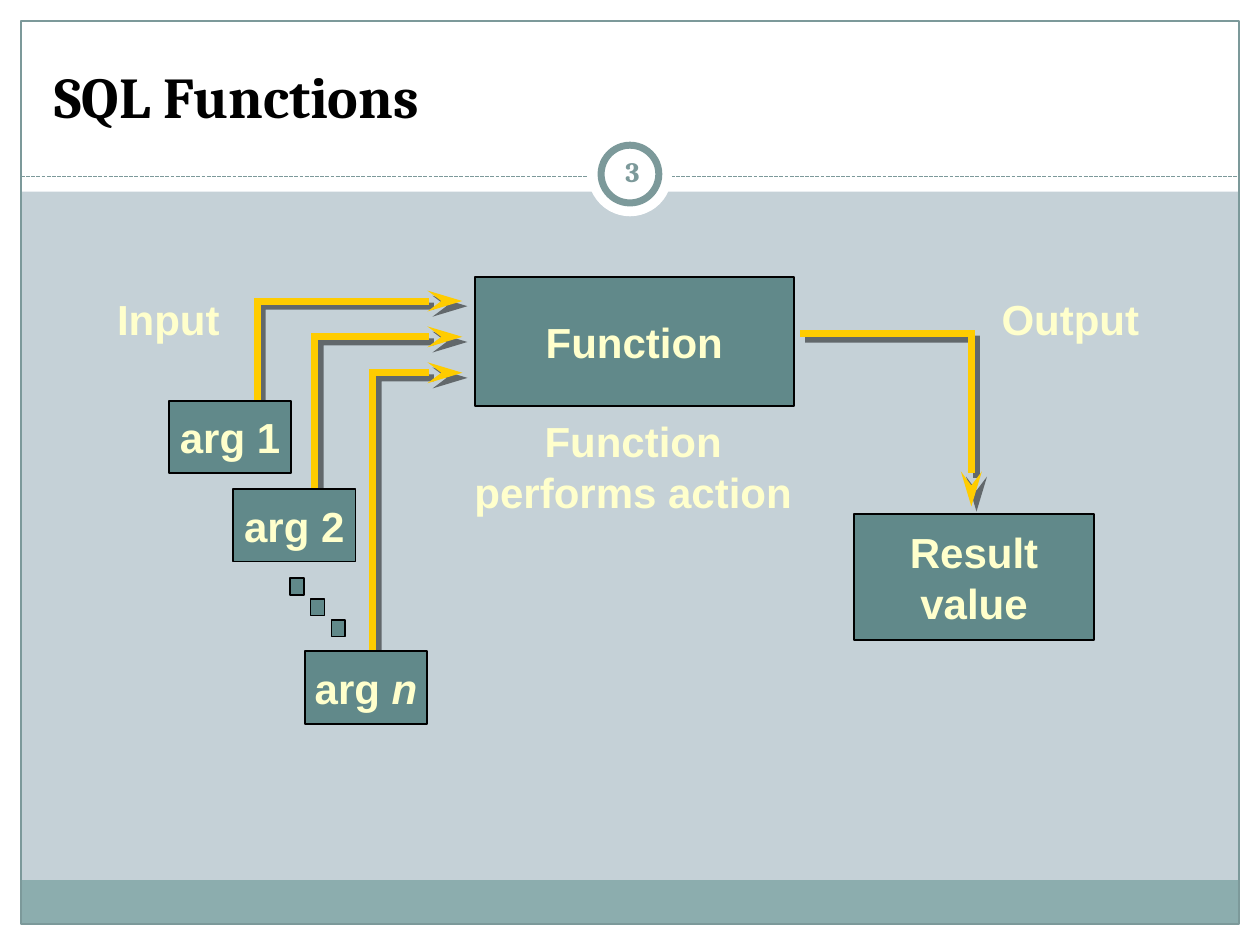
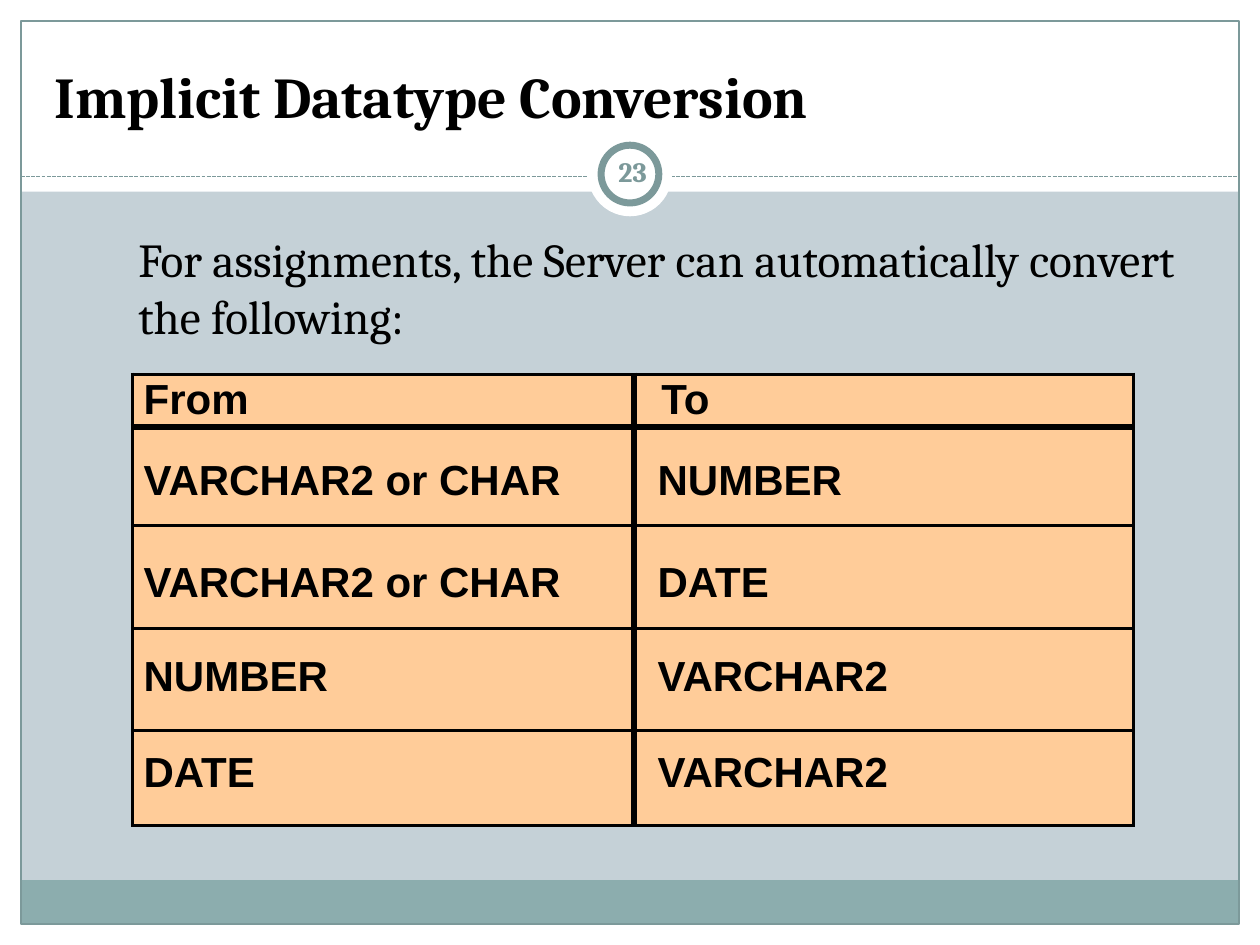
from typing import NamedTuple

from lxml import etree
from pptx import Presentation
from pptx.dml.color import RGBColor
from pptx.enum.dml import MSO_LINE
from pptx.enum.shapes import MSO_CONNECTOR, MSO_SHAPE, PP_PLACEHOLDER
from pptx.enum.text import MSO_ANCHOR, MSO_AUTO_SIZE, PP_ALIGN
from pptx.oxml.ns import qn
from pptx.util import Pt

RECT, OVAL = MSO_SHAPE.RECTANGLE, MSO_SHAPE.OVAL
STRAIGHT = MSO_CONNECTOR.STRAIGHT
SYS_DASH = MSO_LINE.SQUARE_DOT
TITLE = PP_PLACEHOLDER.TITLE
TOP, MIDDLE, BOTTOM = MSO_ANCHOR.TOP, MSO_ANCHOR.MIDDLE, MSO_ANCHOR.BOTTOM
LEFT, CENTER = PP_ALIGN.LEFT, PP_ALIGN.CENTER

COLORS = {
    "background": "C5D1D7",
    "white": "FFFFFF",
    "black": "000000",
    "footer": "8CADAE",
    "accent": "7C999A",
    "box": "61898A",
    "cream": "FFFFCC",
    "arrow": "FFCC00",
    "cell": "FFCC99",
}
SANS, SERIF = "Arial", "Cambria"


class Area(NamedTuple):
    x: float
    y: float
    w: float
    h: float


class Block(NamedTuple):
    area: Area
    fill: str | None = None
    line: str | None = None
    width: float = 1
    kind: int = RECT


class Style(NamedTuple):
    font: str = SANS
    size: float = 24
    color: str = "cream"
    bold: bool = True
    align: int = CENTER


class Label(NamedTuple):
    text: str
    area: Area
    style: Style = Style()
    anchor: int = TOP
    wrap: bool = True


class Argument(NamedTuple):
    name: str
    italic: str
    x: float
    y: float


class Row(NamedTuple):
    height: float
    top: float
    target_inset: float
    source: str
    target: str


TITLE_STYLE = Style(SERIF, 33, "black", True, LEFT)
BODY_STYLE = Style(SERIF, 27, "black", False, LEFT)
NUMBER_STYLE = Style(SERIF, 16, "accent")
CELL_STYLE = Style(color="black", align=LEFT)

FRAME = [
    Block(Area(0, 528, 720, 12), "white"),
    Block(Area(0, 0, 720, 109.5), "white"),
    Block(Area(0, 0, 12, 540), "white"),
    Block(Area(708, 0, 12, 540), "white"),
    Block(Area(12, 503, 696, 25), "footer"),
    Block(Area(12, 12, 696, 516), None, "accent", 0.75),
]
BADGE = [
    Block(Area(336, 75.6, 48, 48), "white", kind=OVAL),
    Block(Area(343.5, 83, 33, 33), "white", "accent", 4, OVAL),
]

ARGUMENTS = [
    Argument("arg 1", "", 96.5, 229),
    Argument("arg 2", "", 133.2, 279.4),
    Argument("arg ", "n", 174.2, 372.2),
]
ROWS = [
    Row(30.3, 1.5, 15.5, "From", "To"),
    Row(56.1, 17.3, 13.3, "VARCHAR2 or CHAR", "NUMBER"),
    Row(59.1, 19.5, 13.3, "VARCHAR2 or CHAR", "DATE"),
    Row(58.3, 14.4, 13.3, "NUMBER", "VARCHAR2"),
    Row(54, 10.8, 13.3, "DATE", "VARCHAR2"),
]


def rgb(name: str) -> RGBColor:
    return RGBColor.from_string(COLORS[name])


def pts(area: Area) -> list:
    return [Pt(v) for v in area]


def format_text(tf, style: Style) -> None:
    for p in tf.paragraphs:
        p.alignment = style.align
        for r in p.runs:
            r.font.name = style.font
            r.font.size = Pt(style.size)
            r.font.bold = style.bold
            r.font.color.rgb = rgb(style.color)


def add_block(s, block: Block):
    sp = s.shapes.add_shape(block.kind, *pts(block.area))
    sp.shadow.inherit = False
    if block.fill:
        sp.fill.solid()
        sp.fill.fore_color.rgb = rgb(block.fill)
    else:
        sp.fill.background()
    if block.line:
        sp.line.color.rgb = rgb(block.line)
        sp.line.width = Pt(block.width)
    else:
        sp.line.fill.background()
    return sp


def add_box(s, area: Area, text: str, italic: str = "") -> None:
    tf = add_block(s, Block(area, "box", "black")).text_frame
    tf.text = text
    tf.word_wrap = False
    tf.vertical_anchor = MIDDLE
    if italic:
        r = tf.paragraphs[0].add_run()
        r.text = italic
        r.font.italic = True
    format_text(tf, Style())


def add_label(s, label: Label) -> None:
    tf = s.shapes.add_textbox(*pts(label.area)).text_frame
    tf.text = label.text
    tf.word_wrap = label.wrap
    tf.vertical_anchor = label.anchor
    format_text(tf, label.style)


def add_bent_arrow(s, *points: tuple[float, float]) -> None:
    corners = [(Pt(x), Pt(y)) for x, y in points]
    builder = s.shapes.build_freeform(*corners[0], scale=1.0)
    builder.add_line_segments(corners[1:], close=False)
    sp = builder.convert_to_shape()
    sp.fill.background()
    sp.line.color.rgb = rgb("arrow")
    sp.line.width = Pt(4)
    ln = sp.element.spPr.find(qn("a:ln"))
    etree.SubElement(ln, qn("a:miter"), lim="800000")
    etree.SubElement(ln, qn("a:tailEnd"), type="stealth", w="med", len="lg")
    sp.shadow.inherit = False
    effects = sp.element.spPr.find(qn("a:effectLst"))
    shadow = etree.SubElement(effects, qn("a:outerShdw"), blurRad="0",
                              dist=str(Pt(4.2)), dir="2700000", algn="ctr", rotWithShape="0")
    color = etree.SubElement(shadow, qn("a:srgbClr"), val=COLORS["black"])
    etree.SubElement(color, qn("a:alpha"), val="50000")


def build_layout(s, layout) -> None:
    layout.background.fill.solid()
    layout.background.fill.fore_color.rgb = rgb("background")
    for ph in list(layout.placeholders):
        if ph.placeholder_format.type != TITLE:
            ph.element.getparent().remove(ph.element)
    for block in FRAME:
        add_block(s, block)
    rule = s.shapes.add_connector(STRAIGHT, Pt(12), Pt(100.8), Pt(708), Pt(100.8))
    rule.line.color.rgb = rgb("accent")
    rule.line.width = Pt(0.75)
    rule.line.dash_style = SYS_DASH
    etree.SubElement(rule.element.spPr, qn("a:effectLst"))
    for block in BADGE:
        add_block(s, block)
    for i, sp in enumerate(list(s.shapes)[1:], start=2):
        layout.shapes.element.insert(i, sp.element)


def add_heading(s, text: str, number: str) -> None:
    title = s.shapes.title
    title.left, title.top, title.width, title.height = pts(Area(24, 18, 672, 60))
    tf = title.text_frame
    tf.text = text
    tf.auto_size = MSO_AUTO_SIZE.NONE
    tf.vertical_anchor = BOTTOM
    format_text(tf, TITLE_STYLE)
    add_label(s, Label(number, Area(343.5, 80.6, 36, 34.6), NUMBER_STYLE, MIDDLE))


def build_functions(s) -> None:
    add_heading(s, "SQL Functions", "3")
    add_box(s, Area(271.4, 158.4, 182.2, 73.7), "Function")
    for i, arg in enumerate(ARGUMENTS):
        x, y = 146.9 + 33.1 * i, 172 + 20.5 * i
        add_bent_arrow(s, (x, arg.y + 5), (x, y), (264.2, y))
    for arg in ARGUMENTS:
        add_box(s, Area(arg.x, arg.y, 70, 41.4), arg.name, arg.italic)
    for i in range(3):
        add_block(s, Block(Area(165.6 + 11.9 * i, 330.5 + 11.9 * i, 8, 9.4), "box", "black"))
    add_bent_arrow(s, (457.2, 190.8), (555.1, 190.8), (555.1, 289.4))
    add_box(s, Area(488.2, 293.8, 136.8, 72), "Result\nvalue")
    left = Style(align=LEFT)
    for label in (
        Label("Input", Area(59.8, 164.2, 73.4, 36), left, wrap=False),
        Label("Output", Area(565.2, 164.2, 92.9, 36), left, wrap=False),
        Label("Function performs action", Area(259.2, 234, 205.2, 64.8)),
    ):
        add_label(s, label)


def set_borders(cell, widths: dict[str, float]) -> None:
    tc_pr = cell.fill._xPr
    for i, (side, width) in enumerate(widths.items()):
        ln = etree.Element(qn(f"a:ln{side}"), w=str(Pt(width)))
        fill = etree.SubElement(ln, qn("a:solidFill"))
        etree.SubElement(fill, qn("a:srgbClr"), val=COLORS["black"])
        tc_pr.insert(i, ln)


def build_conversion(s) -> None:
    add_heading(s, "Implicit Datatype Conversion", "23")
    text = "For assignments, the Server can automatically convert the following:"
    add_label(s, Label(text, Area(72, 128.2, 616, 71.3), BODY_STYLE))
    area = Area(75.6, 213.8, 572.4, sum(row.height for row in ROWS))
    table = s.shapes.add_table(len(ROWS), 2, *pts(area)).table
    table.first_row = table.horz_banding = False
    for column, width in zip(table.columns, (286.9, 285.5)):
        column.width = Pt(width)
    for i, row in enumerate(ROWS):
        table.rows[i].height = Pt(row.height)
        for j, (text, inset) in enumerate(((row.source, 6.5), (row.target, row.target_inset))):
            cell = table.cell(i, j)
            cell.text = text
            cell.margin_left, cell.margin_top = Pt(inset), Pt(row.top)
            cell.margin_right = cell.margin_bottom = 0
            cell.vertical_anchor = TOP
            format_text(cell.text_frame, CELL_STYLE)
            cell.fill.solid()
            cell.fill.fore_color.rgb = rgb("cell")
            set_borders(cell, {
                "L": 4 if j == 1 else 2,
                "R": 4 if j == 0 else 2,
                "T": 4 if i == 1 else 2,
                "B": 4 if i == 0 else 2,
            })


def main() -> None:
    prs = Presentation()
    prs.slide_width, prs.slide_height = Pt(720), Pt(540)
    layout = prs.slide_layouts.get_by_name("Title Only")
    s = prs.slides.add_slide(layout)
    build_layout(s, layout)
    build_functions(s)
    build_conversion(prs.slides.add_slide(layout))
    prs.save("out.pptx")


if __name__ == "__main__":
    main()
